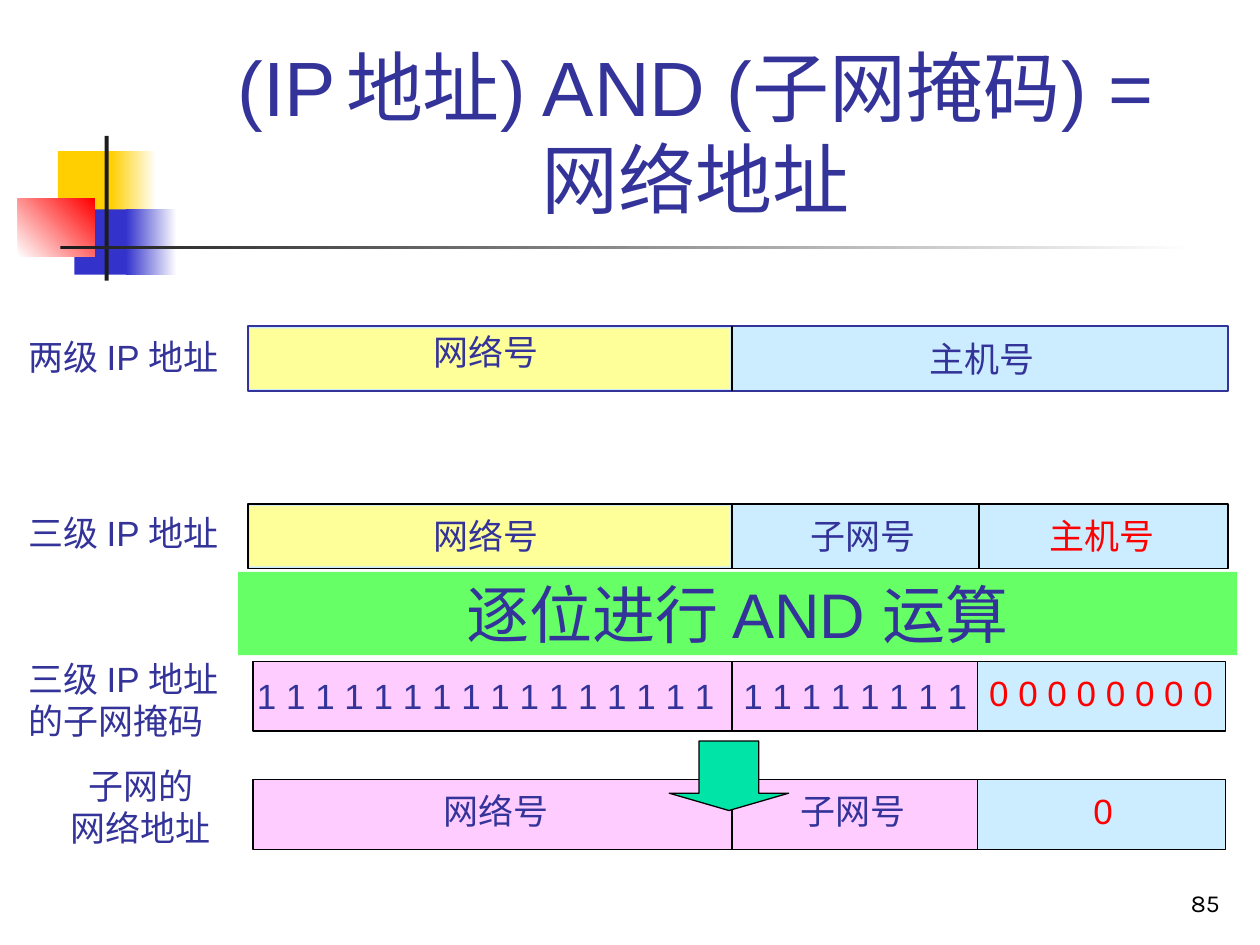
from dataclasses import dataclass
from typing import NamedTuple

from lxml.etree import SubElement
from pptx import Presentation
from pptx.dml.color import RGBColor
from pptx.enum.shapes import MSO_CONNECTOR, MSO_SHAPE
from pptx.enum.text import MSO_ANCHOR, MSO_AUTO_SIZE, PP_ALIGN
from pptx.oxml.ns import qn
from pptx.util import Cm, Pt


@dataclass(frozen=True)
class Theme:
    font: str = "Arial"
    number_font: str = "Karla"
    ink: str = "333399"
    accent: str = "FF0000"
    black: str = "000000"
    white: str = "FFFFFF"
    charcoal: str = "1C1C1C"
    gold: str = "FFCF01"
    blue: str = "3333CC"
    yellow: str = "FFFF99"
    sky: str = "CCECFF"
    pink: str = "FFCCFF"
    green: str = "66FF66"
    teal: str = "00E4A8"
    title_size: float = 44
    banner_size: float = 36
    wide_gap_size: float = 24
    label_size: float = 20
    number_size: float = 14
    small_gap_size: float = 10
    thin: float = 0.75
    medium: float = 1


class Box(NamedTuple):
    left: float
    top: float
    width: float
    height: float

    def inner(self, left, top, width, height):
        return Box(self.left + left, self.top + top, width, height)

    def lengths(self):
        return [Cm(value) for value in self]


THEME = Theme()
BAR = Box(5, 6.58, 19.76, 1.3)
MASK = Box(5.1, 13.34, 19.6, 1.4)
HOST_SPLIT = 14.76
SUBNET_SPLIT = 19.74


def rgb(colour):
    return RGBColor.from_string(colour)


def add_block(slide, box, fill, line=None, weight=THEME.thin, kind=MSO_SHAPE.RECTANGLE):
    block = slide.shapes.add_shape(kind, *box.lengths())
    block.shadow.inherit = False
    block.fill.solid()
    block.fill.fore_color.rgb = rgb(fill)
    if line:
        block.line.color.rgb = rgb(line)
        block.line.width = Pt(weight)
    else:
        block.line.fill.background()
    return block


def add_fade(slide, box, start, end, angle=0):
    fade = add_block(slide, box, start)
    fade.fill.gradient()
    fade.fill.gradient_angle = angle
    for stop, colour in zip(fade.fill.gradient_stops, (start, end)):
        stop.color.rgb = rgb(colour)


def add_divider(slide, x, box):
    divider = slide.shapes.add_connector(
        MSO_CONNECTOR.STRAIGHT, Cm(x), Cm(box.top), Cm(x), Cm(box.top + box.height))
    divider.line.color.rgb = rgb(THEME.black)
    divider.line.width = Pt(THEME.medium)
    SubElement(divider._element.spPr, qn("a:effectLst"))


def add_run(paragraph, words, size=THEME.label_size, colour=THEME.ink, font=THEME.font):
    run = paragraph.add_run()
    run.text = words
    run.font.size = Pt(size)
    run.font.name = font
    run.font.color.rgb = rgb(colour)


def add_label(slide, box, lines, colour=THEME.ink, align=PP_ALIGN.LEFT):
    frame = slide.shapes.add_textbox(*box.lengths()).text_frame
    frame.word_wrap = False
    for index, words in enumerate(lines):
        paragraph = frame.add_paragraph() if index else frame.paragraphs[0]
        paragraph.alignment = align
        add_run(paragraph, words, colour=colour)
    return frame


def add_motif(slide, box):
    add_block(slide, box.inner(0.81, 0.31, 1.22, 1.32), THEME.gold)
    add_fade(slide, box.inner(1.88, 0.31, 0.91, 1.32), THEME.gold, THEME.white)
    add_block(slide, box.inner(1.14, 1.48, 1.17, 1.32), THEME.blue)
    add_fade(slide, box.inner(2.18, 1.48, 1.02, 1.32), THEME.blue, THEME.white)
    add_fade(slide, box.inner(0, 1.27, 1.55, 1.17), THEME.white, THEME.accent, 45)
    add_block(slide, box.inner(1.75, 0, 0.08, box.height), THEME.charcoal)
    add_fade(slide, box.inner(0.86, 2.21, 22.86, 0.08), THEME.charcoal, THEME.white)


def add_title(slide, box):
    title = slide.shapes.title
    title.left, title.top, title.width, title.height = box.lengths()
    frame = title.text_frame
    frame.auto_size = MSO_AUTO_SIZE.NONE
    frame.word_wrap = True
    frame.vertical_anchor = MSO_ANCHOR.BOTTOM
    heading = frame.paragraphs[0]
    heading.alignment = PP_ALIGN.CENTER
    add_run(heading, "(IP", THEME.title_size)
    add_run(heading, " ")
    add_run(heading, "地址) AND (子网掩码) =", THEME.title_size)
    heading.add_line_break()
    add_run(heading, "网络地址", THEME.title_size)


def add_address_bar(slide, box, outline, splits, labels):
    add_block(slide, box, THEME.sky, outline, THEME.medium)
    add_block(slide, box.inner(0.04, 0.04, 9.68, 1.22), THEME.yellow)
    for split in splits:
        add_divider(slide, split, box)
    for words, left, top, colour in labels:
        add_label(slide, box.inner(left, top, 2.62, 1.09), [words], colour)


def add_mask_bar(slide, box):
    host_left = 14.6
    add_block(slide, box.inner(host_left, 0, box.width - host_left, box.height),
              THEME.sky, THEME.black)
    add_block(slide, box.inner(0, 0, host_left, box.height), THEME.pink, THEME.black)
    add_divider(slide, HOST_SPLIT, box)


def add_mask_bits(slide, box):
    add_mask_bar(slide, box)
    ones = add_label(slide, box.inner(-0.17, 0, 14.83, 1.27), [" ".join("1" * 16)])
    add_run(ones.paragraphs[0], "  ", THEME.wide_gap_size)
    add_run(ones.paragraphs[0], " ", THEME.small_gap_size)
    add_run(ones.paragraphs[0], " ".join("1" * 8))
    add_label(slide, box.inner(14.59, 0.08, 5.03, 1.09), [" ".join("0" * 8)], THEME.accent)


def add_subnet_address(slide, box):
    add_mask_bar(slide, box)
    for words, left, width, colour in (("网络号", 3.59, 2.62, THEME.ink),
                                       ("子网号", 10.78, 2.62, THEME.ink),
                                       ("0", 16.69, 0.89, THEME.accent)):
        add_label(slide, box.inner(left, 0.08, width, 1.09), [words], colour)


def add_banner(slide, box):
    frame = add_block(slide, box, THEME.green).text_frame
    frame.word_wrap = False
    frame.vertical_anchor = MSO_ANCHOR.MIDDLE
    frame.paragraphs[0].alignment = PP_ALIGN.CENTER
    add_run(frame.paragraphs[0], "逐位进行 AND 运算", THEME.banner_size)


def add_page_number(slide, box):
    frame = slide.shapes.add_textbox(*box.lengths()).text_frame
    frame.word_wrap = True
    frame.vertical_anchor = MSO_ANCHOR.BOTTOM
    frame.paragraphs[0].alignment = PP_ALIGN.RIGHT
    add_run(frame.paragraphs[0], "85", THEME.number_size, THEME.black, THEME.number_font)


def main():
    deck = Presentation()
    deck.slide_width, deck.slide_height = Cm(25.4), Cm(19.05)
    slide = deck.slides.add_slide(deck.slide_layouts[5])

    add_motif(slide, Box(0.36, 2.74, 23.72, 2.92))
    add_title(slide, Box(3.2, 0.58, 21.64, 4.06))

    add_address_bar(slide, BAR, THEME.ink, [HOST_SPLIT],
                    [("网络号", 3.48, -0.05, THEME.ink), ("主机号", 13.49, 0.1, THEME.ink)])
    add_address_bar(slide, BAR._replace(top=10.16), THEME.black, [HOST_SPLIT, SUBNET_SPLIT],
                    [("网络号", 3.48, 0.08, THEME.ink), ("子网号", 11.08, 0.08, THEME.ink),
                     ("主机号", 15.9, 0.08, THEME.accent)])
    add_mask_bits(slide, MASK)
    add_subnet_address(slide, MASK._replace(top=15.72))

    add_label(slide, Box(0.33, 6.63, 4.7, 1.09), ["两级 IP 地址"])
    add_label(slide, Box(0.33, 10.19, 4.7, 1.09), ["三级 IP 地址"])
    add_label(slide, Box(0.33, 13.13, 4.7, 1.93), ["三级 IP 地址", "的子网掩码"])
    add_label(slide, Box(1.17, 15.29, 3.33, 1.93), ["子网的", "网络地址"], align=PP_ALIGN.CENTER)

    add_banner(slide, Box(4.8, 11.53, 20.14, 1.68))
    arrow = add_block(slide, Box(13.49, 14.94, 2.41, 1.4), THEME.teal, THEME.black,
                      kind=MSO_SHAPE.DOWN_ARROW)
    arrow.adjustments[0], arrow.adjustments[1] = 0.5, 0.25
    add_page_number(slide, Box(19.56, 17.35, 5.28, 1.27))

    deck.save("out.pptx")


if __name__ == "__main__":
    main()
